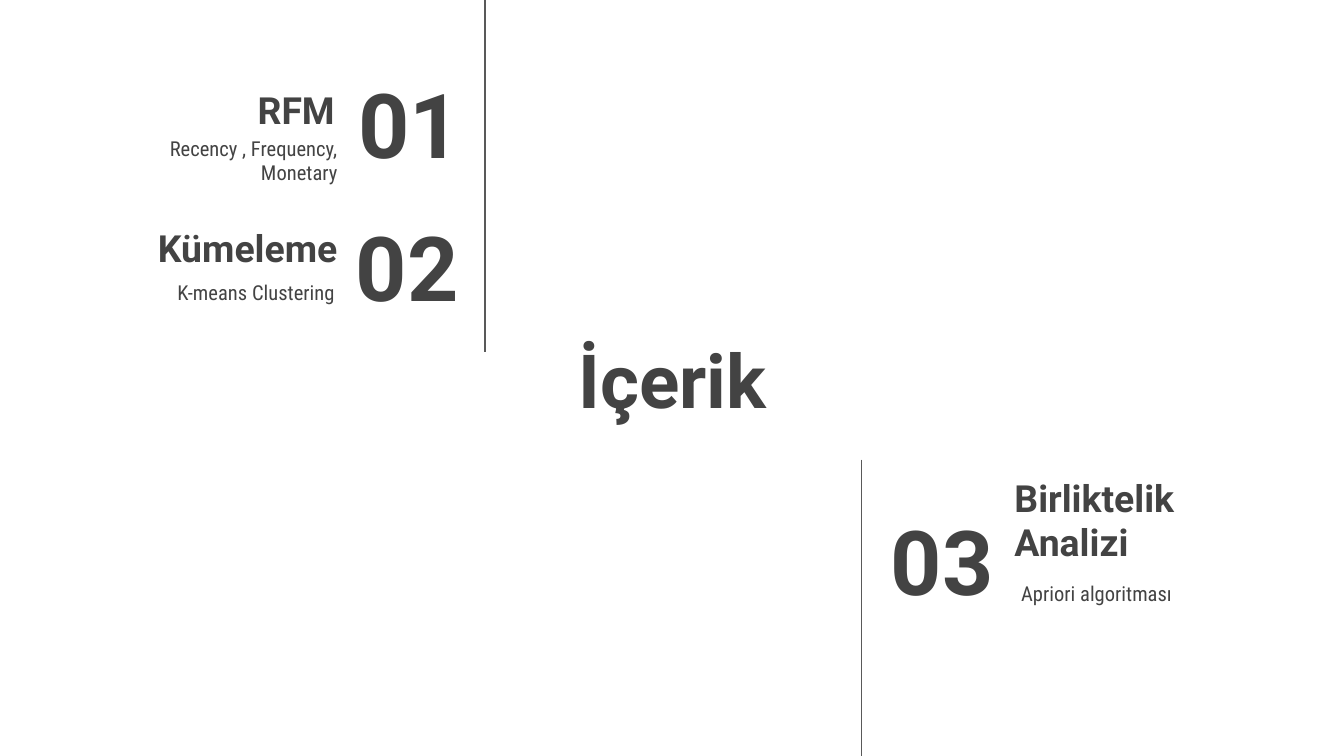
import pptx
import pptx.dml.color
import pptx.enum.shapes
import pptx.enum.text
import pptx.oxml.ns
import pptx.util
from lxml import etree

Inches = pptx.util.Inches
Align = pptx.enum.text.PP_ALIGN
Anchor = pptx.enum.text.MSO_ANCHOR

DARK = pptx.dml.color.RGBColor(0x43, 0x43, 0x43)
GRAY = pptx.dml.color.RGBColor(0x59, 0x59, 0x59)

SLIDE_WIDTH = 10
SLIDE_HEIGHT = SLIDE_WIDTH * 9 / 16
ROW_HEIGHT = 0.63

# style: font, size, bold, anchor
STYLES = {
    "title": ("Roboto", 40, True, Anchor.MIDDLE),
    "number": ("Roboto", 48, True, Anchor.MIDDLE),
    "heading": ("Roboto", 20, True, Anchor.BOTTOM),
    "detail": ("Roboto Condensed", 11, False, Anchor.TOP),
}
WIDTHS = {"number": 1.21, "heading": 2.16, "detail": 1.83}

# alignment, then (text, left, top) for each part of the section
SECTIONS = [
    (Align.RIGHT, {
        "heading": ("RFM", 0.43, 0.45),
        "detail": ("Recency , Frequency, Monetary", 0.78, 0.91),
        "number": ("01", 2.32, 0.6),
    }),
    (Align.RIGHT, {
        "heading": ("Kümeleme", 0.45, 1.48),
        "detail": ("K-means Clustering", 0.76, 1.99),
        "number": ("02", 2.3, 1.66),
    }),
    (Align.LEFT, {
        "heading": ("Birliktelik Analizi", 7.45, 3.67),
        "detail": ("Apriori algoritması", 7.33, 4.23),
        "number": ("03", 6.53, 3.85),
    }),
]
DETAIL_INDENT = (0.5, -0.33)  # left margin and first line, left-aligned details

# x, top, bottom
DIVIDERS = [(3.61, 0, 2.62), (6.41, 3.42, 5.64)]


def add_text(slide, text, style, left, top, width, height, alignment):
    font_name, size, bold, anchor = STYLES[style]
    box = slide.shapes.add_textbox(*map(Inches, (left, top, width, height)))
    frame = box.text_frame
    frame.word_wrap = True
    frame.vertical_anchor = anchor
    frame.margin_left = frame.margin_right = Inches(0.1)
    frame.margin_top = frame.margin_bottom = Inches(0.1)
    paragraph = frame.paragraphs[0]
    paragraph.alignment = alignment
    run = paragraph.add_run()
    run.text = text
    run.font.name = font_name
    run.font.size = pptx.util.Pt(size)
    run.font.bold = bold
    run.font.color.rgb = DARK
    return paragraph


def indent(paragraph, margin, first_line):
    properties = paragraph._p.get_or_add_pPr()
    properties.set("marL", str(Inches(margin)))
    properties.set("indent", str(Inches(first_line)))


def add_divider(slide, x, top, bottom):
    line = slide.shapes.add_connector(
        pptx.enum.shapes.MSO_CONNECTOR.STRAIGHT,
        Inches(x), Inches(top), Inches(x), Inches(bottom))
    line.line.color.rgb = GRAY
    line.line.width = pptx.util.Pt(0.75)
    etree.SubElement(line._element.spPr, pptx.oxml.ns.qn("a:effectLst"))


def main():
    presentation = pptx.Presentation()
    presentation.slide_width = Inches(SLIDE_WIDTH)
    presentation.slide_height = Inches(SLIDE_HEIGHT)
    slide = presentation.slides.add_slide(presentation.slide_layouts[6])

    add_text(slide, "İçerik", "title", 3.71, 2.3, 2.59, 1.03, Align.CENTER)
    for alignment, parts in SECTIONS:
        for style, (text, left, top) in parts.items():
            paragraph = add_text(slide, text, style, left, top,
                                 WIDTHS[style], ROW_HEIGHT, alignment)
            if style == "detail" and alignment == Align.LEFT:
                indent(paragraph, *DETAIL_INDENT)
    for divider in DIVIDERS:
        add_divider(slide, *divider)

    presentation.save("out.pptx")


if __name__ == "__main__":
    main()
